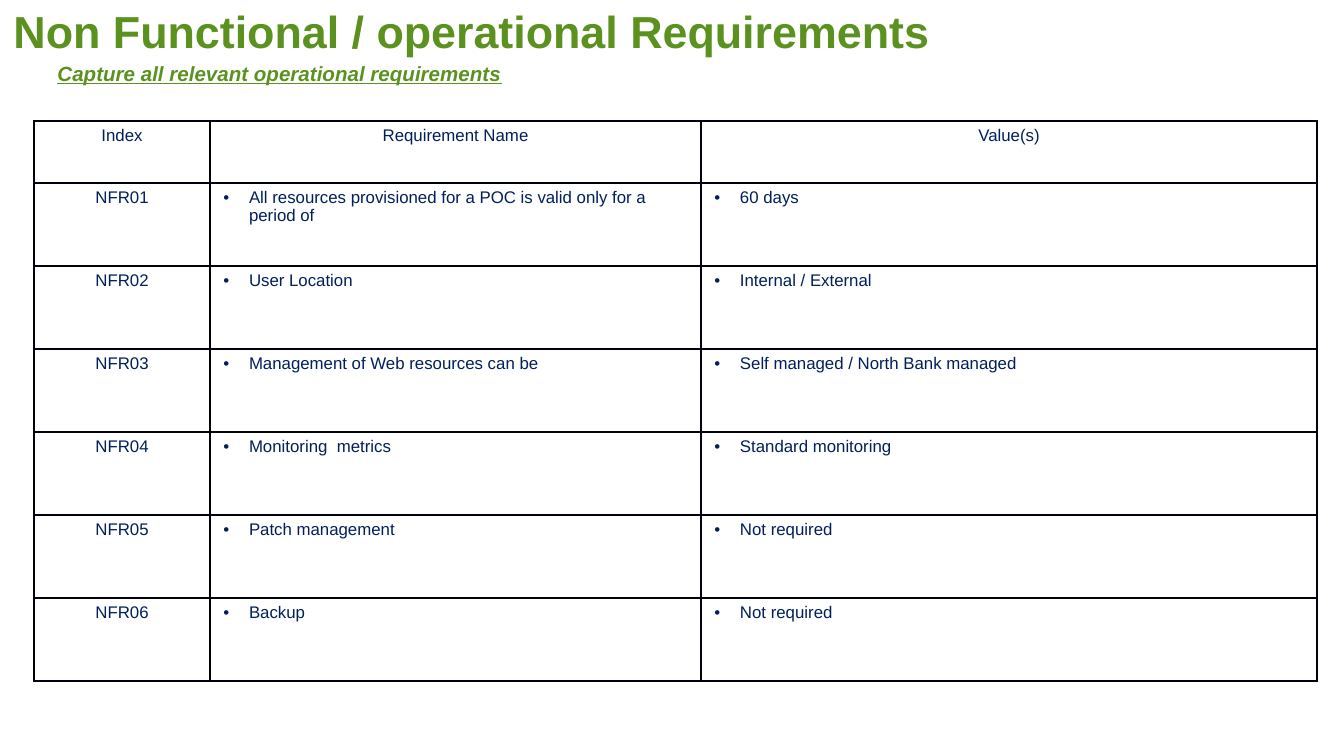
"""Builds a slide with a table of operational requirements."""
from dataclasses import dataclass

from lxml import etree
from pptx import Presentation, util as u
from pptx.dml.color import RGBColor
from pptx.enum import text as t
from pptx.oxml.ns import qn

SCALE = 914400 / 134.4
HUES = {"green": "5B921F", "navy": "001F5B", "line": "00020C", "paper": "FFFFFF"}
HEADS = ("Index", "Requirement Name", "Value(s)")
COLS = (176, 491, 616)
HEAD, ROW = 62, 83


@dataclass
class Need:
    """One requirement and its value."""
    name: str
    value: str


@dataclass
class Title:
    """One heading with its box in pixels and its style."""
    text: str
    box: tuple[int, int, int, int]
    size: int
    slant: bool


NEEDS = (
    Need("All resources provisioned for a POC is valid only for a period of", "60 days"),
    Need("User Location", "Internal / External"),
    Need("Management of Web resources can be", "Self managed / North Bank managed"),
    Need("Monitoring  metrics", "Standard monitoring"),
    Need("Patch management", "Not required"),
    Need("Backup", "Not required"),
)
TITLES = (
    Title("Non Functional / operational Requirements", (0, -3, 1019, 67), 24, False),
    Title("Capture all relevant operational requirements", (44, 54, 1075, 39), 11, True),
)


def px(n: float) -> u.Emu:
    """Turn pixels into EMU."""
    return u.Emu(round(n * SCALE))


def hue(key: str) -> RGBColor:
    """Look up a colour."""
    return RGBColor.from_string(HUES[key])


def style(run, size: int, key: str) -> None:
    """Set the font of a run."""
    run.font.name = "Arial"
    run.font.size = u.Pt(size)
    run.font.color.rgb = hue(key)


def put_title(shape, item: Title) -> None:
    """Fill and place a heading."""
    shape.left, shape.top, shape.width, shape.height = map(px, item.box)
    frame = shape.text_frame
    frame.text = item.text
    frame.word_wrap = True
    frame.auto_size = t.MSO_AUTO_SIZE.NONE
    frame.vertical_anchor = t.MSO_ANCHOR.TOP
    para = frame.paragraphs[0]
    para.alignment = t.PP_ALIGN.LEFT
    para.space_before = u.Pt(0)
    run = para.runs[0]
    style(run, item.size, "green")
    run.font.bold = True
    run.font.italic = run.font.underline = item.slant


def edge(cell) -> None:
    """Draw the four borders of a cell."""
    props = cell._tc.get_or_add_tcPr()
    for spot, side in enumerate(("lnL", "lnR", "lnT", "lnB")):
        line = etree.Element(qn(f"a:{side}"), w=str(u.Pt(1)))
        fill = etree.SubElement(line, qn("a:solidFill"))
        etree.SubElement(fill, qn("a:srgbClr"), val=HUES["line"])
        props.insert(spot, line)


def put_cell(cell, words: str, listed: bool) -> None:
    """Fill a cell with centred or bulleted text."""
    cell.fill.solid()
    cell.fill.fore_color.rgb = hue("paper")
    edge(cell)
    cell.margin_left = cell.margin_right = u.Inches(0.1)
    cell.margin_top = cell.margin_bottom = u.Inches(0.05 if listed else 0.04)
    cell.text_frame.text = words
    para = cell.text_frame.paragraphs[0]
    style(para.runs[0], 9, "navy")
    if not listed:
        para.alignment = t.PP_ALIGN.CENTER
        return
    para.line_spacing = 0.93
    props = para._p.get_or_add_pPr()
    props.set("marL", str(u.Inches(0.19)))
    props.set("indent", str(-u.Inches(0.19)))
    etree.SubElement(props, qn("a:buFont"), typeface="Arial")
    etree.SubElement(props, qn("a:buChar"), char="•")


def put_table(slide) -> None:
    """Add the table of requirements."""
    rows = [HEADS] + [(f"NFR{i:02}", n.name, n.value) for i, n in enumerate(NEEDS, 1)]
    tall = HEAD + ROW * len(NEEDS)
    frame = slide.shapes.add_table(len(rows), len(COLS), px(34), px(121), px(sum(COLS)), px(tall))
    grid = frame.table
    grid.first_row = grid.horz_banding = False
    for col, wide in zip(grid.columns, COLS):
        col.width = px(wide)
    for r, row in enumerate(rows):
        grid.rows[r].height = px(ROW if r else HEAD)
        for c, words in enumerate(row):
            put_cell(grid.cell(r, c), words, r > 0 and c > 0)


def main() -> None:
    """Build and save the slide."""
    deck = Presentation()
    deck.slide_width, deck.slide_height = px(1344), px(756)
    slide = deck.slides.add_slide(deck.slide_layouts[0])
    for shape, item in zip(slide.placeholders, TITLES):
        put_title(shape, item)
    put_table(slide)
    deck.save("out.pptx")


main()
